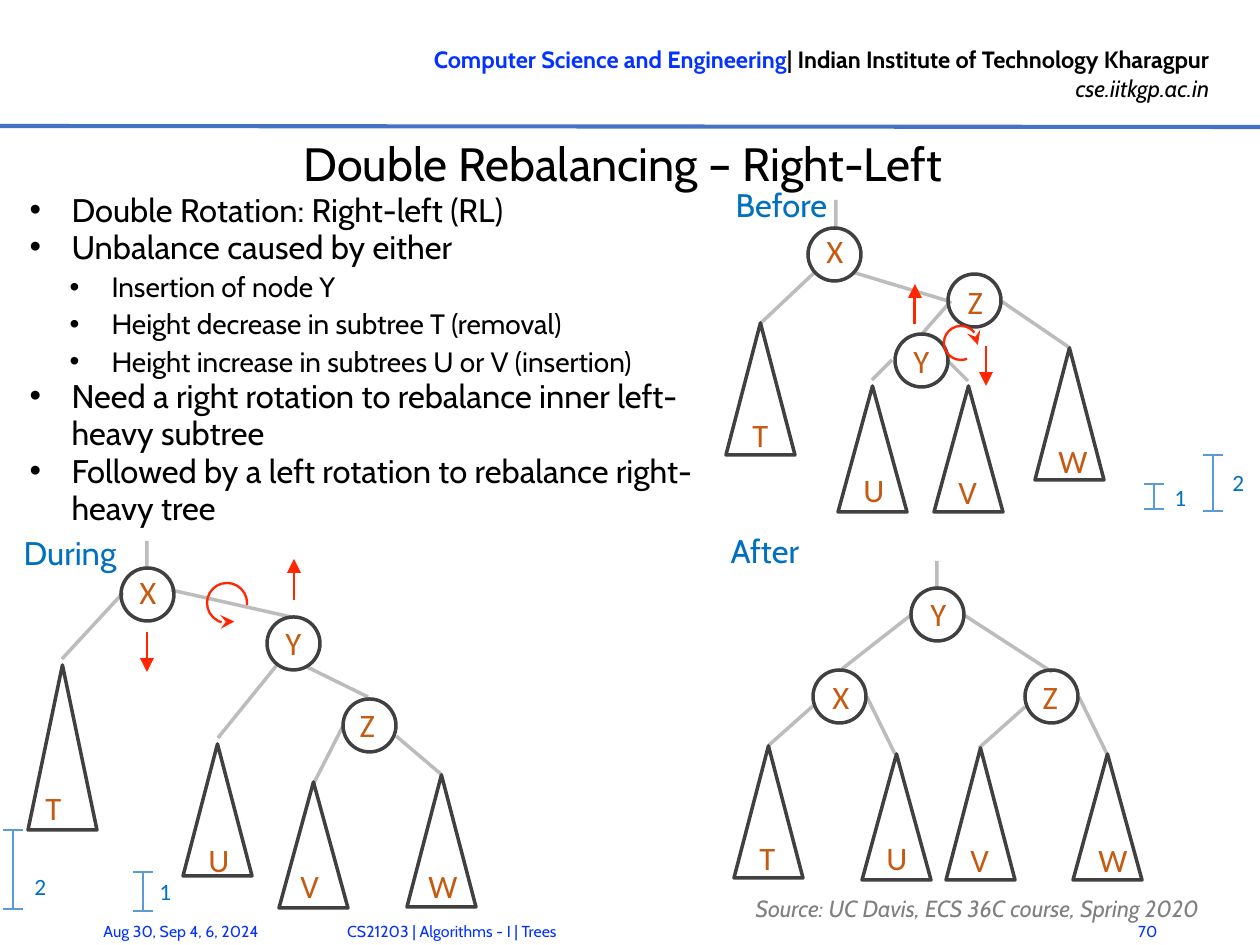
from typing import Any, NamedTuple

from lxml.etree import SubElement as Sub
from pptx import Presentation
from pptx.dml.color import RGBColor
from pptx.enum.shapes import MSO_CONNECTOR as Link, MSO_SHAPE as Form
from pptx.enum.text import MSO_ANCHOR as Anchor, PP_ALIGN as Align
from pptx.oxml.ns import qn
from pptx.util import Emu, Pt

SCALE = 914400 / 168
INK, RUST, BLUE, LINK, RED, BLACK = "404040", "C55A11", "0070C0", "0432FF", "FF2600", "000000"
WIDTHS = {"T": 50, "U": 55, "V": 52, "W": 64, "X": 50, "Y": 50, "Z": 49}


class Run(NamedTuple):
    text: str
    size: float
    color: str
    face: str = "Cabin"
    bold: bool = False
    slant: bool = False


class Row(NamedTuple):
    runs: list[Run]
    form: dict[str, Any] = {}
    level: int = -1


class Node(NamedTuple):
    tag: str
    x: int
    y: int
    left: int
    top: int


class Tree(NamedTuple):
    tag: str
    x: int
    y: int
    high: int
    left: int
    top: int


class Edge(NamedTuple):
    x1: int
    y1: int
    x2: int
    y2: int


class Gauge(NamedTuple):
    tag: str
    x: int
    top: int
    foot: int
    left: int
    y: int


class Arc(NamedTuple):
    x: int
    y: int
    side: int
    end: str


def px(size: float) -> Emu:
    return Emu(round(size * SCALE))


def paint(color: str) -> RGBColor:
    return RGBColor.from_string(color)


def write(x: int, y: int, w: int, h: int, rows: list[Row], **frame: Any) -> None:
    text = slide.shapes.add_textbox(px(x), px(y), px(w), px(h)).text_frame
    for key, val in ({"word_wrap": True} | frame).items():
        setattr(text, key, val)
    for at, row in enumerate(rows):
        para = text.add_paragraph() if at else text.paragraphs[0]
        if row.level >= 0:
            para.level = row.level
            prop = para._p.get_or_add_pPr()
            prop.set("marL", str(px(42 + 40 * row.level)))
            prop.set("indent", str(px(-42)))
            Sub(prop, qn("a:buFont")).set("typeface", "Arial")
            Sub(prop, qn("a:buChar")).set("char", "•")
        for key, val in row.form.items():
            setattr(para, key, val)
        for item in row.runs:
            run = para.add_run()
            run.text = item.text
            style = {"name": item.face, "size": Pt(item.size), "bold": item.bold, "italic": item.slant}
            for key, val in style.items():
                setattr(run.font, key, val)
            run.font.color.rgb = paint(item.color)


def label(tag: str, x: int, y: int) -> None:
    write(x, y, WIDTHS[tag], 57, [Row([Run(tag, 14, RUST, "Calibri")])], word_wrap=False)


def rule(edge: Edge, color: str, width: float, clear: bool = False, head: bool = False) -> None:
    line = slide.shapes.add_connector(Link.STRAIGHT, *map(px, edge))
    line.line.color.rgb = paint(color)
    line.line.width = Pt(width)
    stroke = line.line._get_or_add_ln()
    if clear:
        Sub(stroke.find(".//" + qn("a:srgbClr")), qn("a:alpha")).set("val", "35000")
    if head:
        Sub(stroke, qn("a:headEnd")).set("type", "triangle")
    Sub(line._element.spPr, qn("a:effectLst"))


def outline(kind: Form, x: int, y: int, w: int, h: int, color: str, width: float) -> Any:
    shape = slide.shapes.add_shape(kind, px(x), px(y), px(w), px(h))
    shape.shadow.inherit = False
    shape.fill.background()
    shape.line.color.rgb = paint(color)
    shape.line.width = Pt(width)
    return shape


def gauge(bar: Gauge) -> None:
    mid, end = bar.x + 10, bar.x + 20
    for edge in (Edge(mid, bar.top, mid, bar.foot), Edge(bar.x, bar.top, end, bar.top),
                 Edge(bar.x, bar.foot, end, bar.foot)):
        rule(edge, "5B9BD5", 0.5)
    write(bar.left, bar.y, 45, 45, [Row([Run(bar.tag, 10, BLUE, "Calibri")])], word_wrap=False)


def turn(arc: Arc) -> None:
    shape = outline(Form.ARC, arc.x, arc.y, arc.side, arc.side, RED, 1)
    shape.adjustments[0], shape.adjustments[1] = 41.215, 3.879
    Sub(shape.line._get_or_add_ln(), qn("a:" + arc.end)).set("type", "stealth")


NODES = [
    Node("Z", 948, 274, 951, 274), Node("X", 808, 228, 810, 223), Node("Y", 895, 334, 897, 333),
    Node("X", 121, 568, 123, 564), Node("Y", 267, 617, 269, 615), Node("Z", 343, 699, 343, 697),
    Node("Y", 911, 588, 914, 586), Node("X", 813, 670, 816, 669), Node("Z", 1025, 670, 1026, 669),
]
TREES = [
    Tree("T", 726, 323, 132, 736, 407), Tree("U", 838, 386, 126, 847, 462),
    Tree("V", 934, 386, 126, 942, 464), Tree("W", 1035, 348, 132, 1042, 433),
    Tree("T", 28, 665, 165, 29, 780), Tree("U", 183, 744, 132, 192, 832),
    Tree("V", 279, 782, 126, 284, 858), Tree("W", 407, 775, 132, 412, 858),
    Tree("T", 734, 746, 132, 743, 830), Tree("U", 862, 754, 126, 870, 830),
    Tree("V", 946, 748, 132, 954, 832), Tree("W", 1073, 754, 126, 1082, 832),
]
EDGES = [
    Edge(836, 200, 836, 227), Edge(815, 272, 761, 323), Edge(1001, 301, 1070, 348),
    Edge(948, 301, 852, 272), Edge(951, 301, 922, 334), Edge(948, 361, 968, 381),
    Edge(892, 360, 872, 380), Edge(147, 541, 147, 568), Edge(307, 667, 368, 697),
    Edge(123, 593, 62, 659), Edge(171, 590, 291, 617), Edge(277, 665, 218, 738),
    Edge(343, 726, 314, 783), Edge(396, 736, 442, 775), Edge(937, 561, 937, 588),
    Edge(911, 615, 842, 669), Edge(964, 615, 1052, 672), Edge(867, 697, 895, 754),
    Edge(813, 706, 768, 746), Edge(1079, 697, 1107, 754), Edge(1025, 707, 979, 748),
]
ARROWS = [Edge(915, 284, 915, 324), Edge(986, 386, 986, 346),
          Edge(294, 559, 294, 600), Edge(147, 672, 147, 632)]
GAUGES = [Gauge("2", 1203, 455, 511, 1216, 460), Gauge("1", 1144, 484, 509, 1158, 475),
          Gauge("2", 3, 830, 909, 18, 864), Gauge("1", 133, 872, 911, 143, 869)]
ARCS = [Arc(944, 326, 34, "tailEnd"), Arc(207, 583, 40, "headEnd")]
NOTES = [
    (0, "Double Rotation: Right-left (RL)"),
    (0, "Unbalance caused by either"),
    (1, "Insertion of node Y"),
    (1, "Height decrease in subtree T (removal)"),
    (1, "Height increase in subtrees U or V (insertion)"),
    (0, "Need a right rotation to rebalance inner left-heavy subtree"),
    (0, "Followed by a left rotation to rebalance right-heavy tree"),
]
STAGES = [("Before", 719, 176), ("During", 7, 524), ("After", 714, 522)]

deck = Presentation()
deck.slide_width, deck.slide_height = px(1260), px(945)
slide = deck.slides.add_slide(deck.slide_layouts[6])

right, center = {"alignment": Align.RIGHT}, {"alignment": Align.CENTER}
write(321, 37, 905, 74, [
    Row([Run("Computer Science and Engineering", 10.1, LINK, bold=True),
         Run("| Indian Institute of Technology Kharagpur", 10.1, BLACK, bold=True)], right),
    Row([Run("cse.iitkgp.ac.in", 10.1, BLACK, slant=True)], right),
], word_wrap=False)
rule(Edge(0, 126, 1260, 127), "4472C4", 1.75)
write(40, 133, 1166, 57, [Row([Run("Double Rebalancing – Right-Left", 20, BLACK)], center)],
      vertical_anchor=Anchor.MIDDLE, margin_left=0, margin_right=0, margin_top=px(2), margin_bottom=0)
write(13, 183, 701, 289, [Row([Run(text, 14 - 2 * level, BLACK)], {"line_spacing": Pt(16)}, level)
                          for level, text in NOTES])
for name, x, y in STAGES:
    write(x, y, 151, 60, [Row([Run(name, 14, BLUE)], {"line_spacing": Pt(17)})])

for edge in EDGES:
    rule(edge, INK, 1.5, clear=True)
for node in NODES:
    outline(Form.OVAL, node.x, node.y, 53, 53, INK, 1.5)
    label(node.tag, node.left, node.top)
for tree in TREES:
    outline(Form.ISOSCELES_TRIANGLE, tree.x, tree.y, 69, tree.high, INK, 1.5)
    label(tree.tag, tree.left, tree.top)
for bar in GAUGES:
    gauge(bar)
for arc in ARCS:
    turn(arc)
for edge in ARROWS:
    rule(edge, RED, 1.25, head=True)

write(739, 887, 507, 29, [Row([Run("Source: UC Davis, ECS 36C course, Spring 2020", 10, "808080", slant=True)],
                              {"line_spacing": Pt(18)})], vertical_anchor=Anchor.MIDDLE)
for text, x, y, w, h, form in [
    ("Aug 30, Sep 4, 6, 2024", 87, 912, 220, 38, {}),
    ("CS21203 | Algorithms - I | Trees", 205, 911, 494, 40, center),
    ("70", 1112, 906, 62, 50, right),
]:
    write(x, y, w, h, [Row([Run(text, 6.8, LINK)], form)], vertical_anchor=Anchor.MIDDLE)

deck.save("out.pptx")
